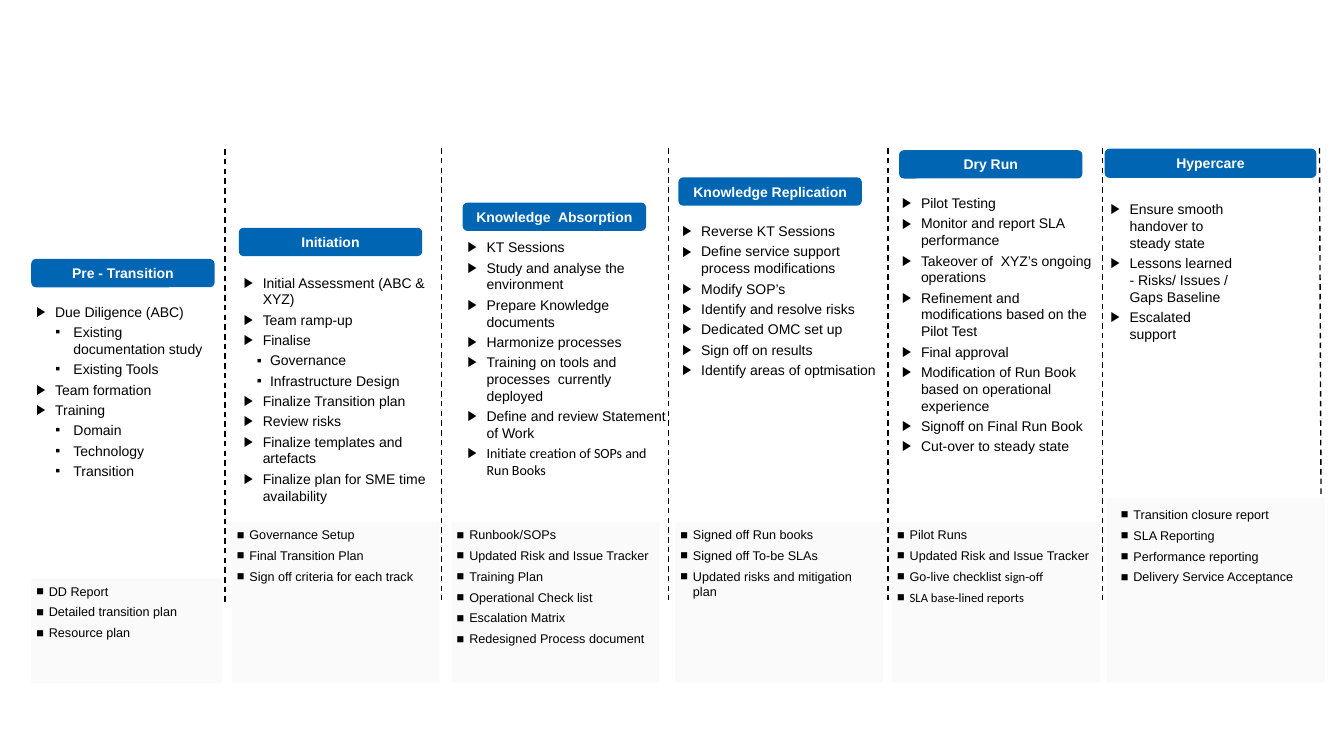
from lxml import etree
from pptx import Presentation
from pptx.dml.color import RGBColor
from pptx.enum.dml import MSO_LINE
from pptx.enum.shapes import MSO_CONNECTOR, MSO_SHAPE
from pptx.enum.text import MSO_ANCHOR, PP_ALIGN
from pptx.oxml.ns import qn
from pptx.util import Pt

DASH = MSO_LINE.DASH
STRAIGHT = MSO_CONNECTOR.STRAIGHT
RECT, ROUNDED = MSO_SHAPE.RECTANGLE, MSO_SHAPE.ROUNDED_RECTANGLE
TOP, MIDDLE = MSO_ANCHOR.TOP, MSO_ANCHOR.MIDDLE
LEFT, CENTER = PP_ALIGN.LEFT, PP_ALIGN.CENTER

# Bullet styles: symbol, left margin, hanging indent
ACTIVITY = ("▶", 13.5, 13.5)
DELIVERABLE = ("■", 9, 9)
WIDE_DETAIL = ("▪", 26.6, 13)
NARROW_DETAIL = ("▪", 18.7, 9.4)


def color(value):
    return RGBColor.from_string(value)


class RoadmapSlide:
    BLUE, PANEL, BLACK, WHITE = "0066B3", "FAFAFA", "000000", "FFFFFF"
    FONT, ALTERNATE_FONT = "Arial", "Calibri"

    def __init__(self, deck):
        self.slide = deck.slides.add_slide(deck.slide_layouts[6])

    def divider(self, x1, y1, x2, y2):
        line = self.slide.shapes.add_connector(STRAIGHT, Pt(x1), Pt(y1), Pt(x2), Pt(y2))
        line.line.color.rgb = color(self.BLACK)
        line.line.width = Pt(1)
        line.line.dash_style = DASH
        etree.SubElement(line._element.spPr, qn("a:effectLst"))

    def block(self, kind, box, fill, corner=None):
        block = self.slide.shapes.add_shape(kind, *map(Pt, box))
        block.shadow.inherit = False
        block.fill.solid()
        block.fill.fore_color.rgb = color(fill)
        block.line.fill.background()
        if corner is not None:
            block.adjustments[0] = corner
        return block

    def text_area(self, box):
        return self.slide.shapes.add_textbox(*map(Pt, box))

    def run(self, paragraph, text, size, text_color, font=FONT, bold=False):
        run = paragraph.add_run()
        run.text = text
        run.font.name = font
        run.font.size = Pt(size)
        run.font.bold = bold
        run.font.color.rgb = color(text_color)

    def header(self, box, title):
        frame = self.block(ROUNDED, box, self.BLUE, 0.167).text_frame
        frame.word_wrap = True
        frame.vertical_anchor = MIDDLE
        frame.paragraphs[0].alignment = CENTER
        self.run(frame.paragraphs[0], title, 10, self.WHITE, bold=True)

    def bullets(self, holder, items, style, size, before, after, detail=None):
        """Nested lists are details; text after "~" takes the alternate font."""
        frame = holder.text_frame
        frame.word_wrap = True
        frame.vertical_anchor = TOP
        frame.margin_left = frame.margin_right = Pt(3.6)
        frame.margin_top = frame.margin_bottom = Pt(3.6)
        rows = []
        for item in items:
            if isinstance(item, list):
                rows += [(text, 1, detail) for text in item]
            else:
                rows.append((item, 0, style))
        for index, (text, level, (symbol, margin, hanging)) in enumerate(rows):
            paragraph = frame.add_paragraph() if index else frame.paragraphs[0]
            paragraph.level = level
            paragraph.alignment = LEFT
            properties = paragraph._p.get_or_add_pPr()
            properties.set("marL", str(Pt(margin)))
            properties.set("indent", str(-Pt(hanging)))
            etree.SubElement(properties, qn("a:buFont")).set("typeface", self.FONT)
            etree.SubElement(properties, qn("a:buChar")).set("char", symbol)
            paragraph.space_before = Pt(before if index else 0)
            paragraph.space_after = Pt(after)
            for part, font in zip(text.split("~"), (self.FONT, self.ALTERNATE_FONT)):
                if part:
                    self.run(paragraph, part, size, self.BLACK, font)

    def activities(self, box, items, detail):
        self.bullets(self.text_area(box), items, ACTIVITY, 10, 2.5, 0, detail)

    def deliverables(self, holder, items):
        self.bullets(holder, items, DELIVERABLE, 9, 2, 2)


# Phases: title, header box, activity box, activities, detail style,
# panel box, deliverables
PHASES = [
    ("Pre - Transition", (22.3, 185, 131, 20.2), (22.3, 213.1, 136.1, 152.6),
     ["Due Diligence (ABC)", ["Existing documentation study", "Existing Tools"],
      "Team formation", "Training", ["Domain", "Technology", "Transition"]],
     WIDE_DETAIL, (22.3, 413.3, 136.1, 74.9),
     ["DD Report", "Detailed transition plan", "Resource plan"]),
    ("Initiation", (170.6, 162.7, 131, 20.2), (170.6, 192.2, 147.6, 176.4),
     ["Initial Assessment (ABC & XYZ)", "Team ramp-up", "Finalise",
      ["Governance", "Infrastructure Design"], "Finalize Transition plan",
      "Review risks", "Finalize templates and artefacts",
      "Finalize plan for SME time availability"],
     NARROW_DETAIL, (165.6, 373, 148.3, 114.5),
     ["Governance Setup", "Final Transition Plan", "Sign off criteria for each track"]),
    ("Knowledge  Absorption", (330.5, 144.7, 131, 20.2), (330.5, 167, 149.8, 182.9),
     ["KT Sessions", "Study and analyse the environment",
      "Prepare Knowledge documents", "Harmonize processes",
      "Training on tools and processes  currently deployed",
      "Define and review Statement of Work",
      "~Initiate creation of SOPs and Run Books"],
     None, (322.6, 373, 148.3, 114.5),
     ["Runbook/SOPs", "Updated Risk and Issue Tracker", "Training Plan",
      "Operational Check list", "Escalation Matrix", "Redesigned Process document"]),
    ("Knowledge Replication", (484.6, 126.7, 131, 20.2), (483.8, 155.5, 153.4, 122.4),
     ["Reverse KT Sessions", "Define service support process modifications",
      "Modify SOP’s", "Identify and resolve risks", "Dedicated OMC set up",
      "Sign off on results", "Identify areas of optmisation"],
     None, (482.4, 373, 148.3, 114.5),
     ["Signed off Run books", "Signed off To-be SLAs",
      "Updated risks and mitigation plan"]),
    ("Dry Run", (642.2, 107.3, 131, 20.2), (640.8, 135.4, 149, 198),
     ["Pilot Testing", "Monitor and report SLA performance",
      "Takeover of  XYZ’s ongoing operations",
      "Refinement and modifications based on the Pilot Test", "Final approval",
      "Modification of Run Book based on operational experience",
      "Signoff on Final Run Book", "Cut-over to steady state"],
     None, (637.2, 373, 148.3, 114.5),
     ["Pilot Runs", "Updated Risk and Issue Tracker",
      "Go-live checklist ~sign-off", "~SLA base-lined reports"]),
    ("Hypercare", (789.1, 106.2, 151.2, 20.9), (789.8, 139.7, 94.3, 110.2),
     ["Ensure smooth handover to steady state",
      "Lessons learned - Risks/ Issues / Gaps Baseline", "Escalated support"],
     None, (790.6, 355.7, 155.5, 131.8),
     ["Transition closure report", "SLA Reporting", "Performance reporting",
      "Delivery Service Acceptance"]),
]
CLOSURE_TEXT_BOX = (797, 358.6, 154.1, 79.2)


def main():
    deck = Presentation()
    deck.slide_width, deck.slide_height = Pt(960), Pt(540)
    roadmap = RoadmapSlide(deck)

    # Dashed dividers between phases
    roadmap.divider(160.6, 106.6, 160.6, 429.8)
    for x in (315.4, 477.4, 634.3, 787.7):
        roadmap.divider(x, 105.8, x, 428.4)
    roadmap.divider(942.5, 105.8, 943.9, 417.6)

    # Phase columns
    for title, header, area, tasks, detail, panel, outputs in PHASES:
        is_last = title == "Hypercare"
        if is_last:
            roadmap.block(ROUNDED, panel, roadmap.PANEL, 0)
            holder = roadmap.text_area(CLOSURE_TEXT_BOX)
        else:
            holder = roadmap.block(RECT, panel, roadmap.PANEL)
        roadmap.deliverables(holder, outputs)
        roadmap.activities(area, tasks, detail)
        roadmap.header(header, title)

    deck.save("out.pptx")


if __name__ == "__main__":
    main()
